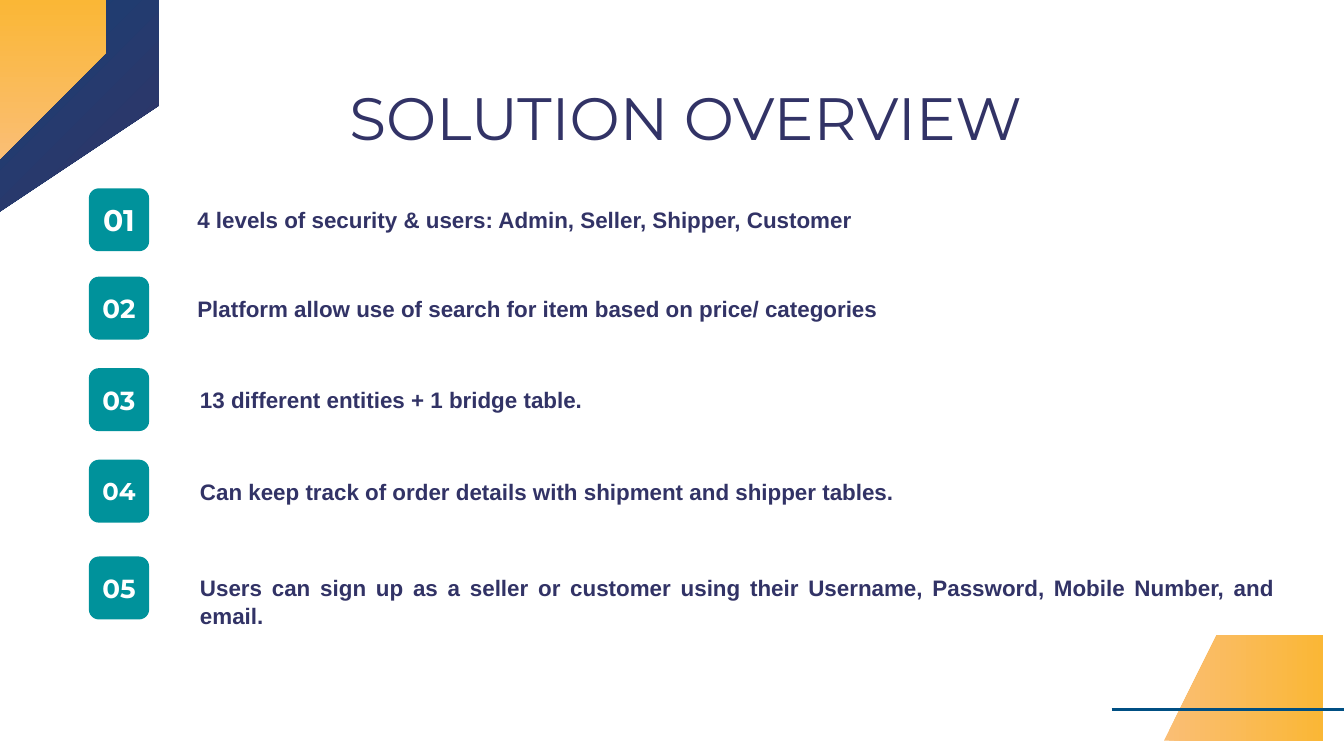
"""Build the solution overview slide with five numbered points."""
from lxml import etree
from pptx import Presentation
from pptx.dml.color import RGBColor
from pptx.enum.shapes import MSO_CONNECTOR, MSO_SHAPE
from pptx.enum.text import MSO_ANCHOR, PP_ALIGN
from pptx.oxml.ns import qn
from pptx.util import Cm, Pt

LEFT, CENTER, JUSTIFY = PP_ALIGN.LEFT, PP_ALIGN.CENTER, PP_ALIGN.JUSTIFY
TOP, MIDDLE = MSO_ANCHOR.TOP, MSO_ANCHOR.MIDDLE
ROUNDED, STRAIGHT = MSO_SHAPE.ROUNDED_RECTANGLE, MSO_CONNECTOR.STRAIGHT

COLORS = {"navy": "323366", "blue": "194175", "line": "004F83", "teal": "00929B",
          "amber": "FAB736", "peach": "FABE75", "white": "FFFFFF"}

TITLE = "SOLUTION OVERVIEW"
POINTS = [
    {"text": "4 levels of security & users: Admin, Seller, Shipper, Customer",
     "top": 3.56, "left": 3.48, "width": 15.39, "size": 16},
    {"text": "Platform allow use of search for item based on price/ categories",
     "top": 5.23, "left": 3.48, "width": 16.36, "size": 14},
    {"text": "13 different entities + 1 bridge table.",
     "top": 6.96, "left": 3.53, "width": 9.4, "size": 14},
    {"text": "Can keep track of order details with shipment and shipper tables.",
     "top": 8.69, "left": 3.53, "width": 14.76, "size": 13},
    {"text": "Users can sign up as a seller or customer using their Username, "
             "Password, Mobile Number, and email.",
     "top": 10.52, "left": 3.53, "width": 20.83, "size": 14,
     "align": JUSTIFY, "spacing": 1.07, "shift": 0.24},
]
SLIDE_WIDTH, SLIDE_HEIGHT = 25.4, 14.29
BADGE_LEFT, BADGE_WIDTH, BADGE_HEIGHT = 1.68, 1.14, 1.19
TEXT_HEIGHT = 1.47

PANELS = [
    {"before": [(SLIDE_WIDTH, SLIDE_HEIGHT), (SLIDE_WIDTH, 11.76)],
     "corner": [(23.22, 11.76), (23, 11.76), (22.91, 11.99)],
     "after": [(21.69, SLIDE_HEIGHT)], "colors": ("peach", "amber"), "angle": 0},
    {"before": [(0, 0), (3.33, 0)],
     "corner": [(3.33, 1.73), (3.33, 1.99), (3.1, 2.11)],
     "after": [(0, 3.76)], "colors": ("blue", "navy"), "angle": 315},
    {"before": [(0, 0), (2.36, 0)],
     "corner": [(2.36, 1.22), (2.36, 1.37), (2.21, 1.45)],
     "after": [(0, 2.62)], "colors": ("amber", "peach"), "angle": 270},
]


def color(name):
    return RGBColor.from_string(COLORS[name])


def round_corner(start, control, end, steps=8):
    weights = [step / steps for step in range(steps + 1)]
    return [tuple((1 - w) ** 2 * a + 2 * w * (1 - w) * b + w ** 2 * c
                  for a, b, c in zip(start, control, end)) for w in weights]


def add_panel(slide, panel):
    points = panel["before"] + round_corner(*panel["corner"]) + panel["after"]
    builder = slide.shapes.build_freeform(*points[0], scale=Cm(1))
    builder.add_line_segments(points[1:], close=True)
    shape = builder.convert_to_shape()
    shape.shadow.inherit = False
    shape.line.fill.background()
    shape.fill.gradient()
    shape.fill.gradient_angle = panel["angle"]
    for stop, name in zip(shape.fill.gradient_stops, panel["colors"]):
        stop.color.rgb = color(name)


def add_rule(slide, left, right, top):
    line = slide.shapes.add_connector(STRAIGHT, Cm(left), Cm(top), Cm(right), Cm(top))
    line.line.color.rgb = color("line")
    line.line.width = Pt(1.5)
    etree.SubElement(line._element.spPr, qn("a:effectLst"))


def write(shape, text, fill, align, anchor, font, inset=0.25, spacing=None, wrap=True):
    frame = shape.text_frame
    margins = {f"margin_{side}": Cm(inset) for side in ("left", "top", "right", "bottom")}
    settings = {"word_wrap": wrap, "vertical_anchor": anchor, **margins}
    for name, value in settings.items():
        setattr(frame, name, value)
    paragraph = frame.paragraphs[0]
    paragraph.text = text
    paragraph.alignment = align
    paragraph.line_spacing = spacing
    for name, value in font.items():
        setattr(paragraph.font, name, value)
    paragraph.font.color.rgb = color(fill)


def add_text(slide, left, top, width, height, *content, **options):
    box = slide.shapes.add_textbox(Cm(left), Cm(top), Cm(width), Cm(height))
    write(box, *content, **options)


def add_point(slide, number, point):
    badge = slide.shapes.add_shape(ROUNDED, Cm(BADGE_LEFT), Cm(point["top"]),
                                   Cm(BADGE_WIDTH), Cm(BADGE_HEIGHT))
    badge.shadow.inherit = False
    badge.fill.solid()
    badge.fill.fore_color.rgb = color("teal")
    badge.line.fill.background()
    write(badge, f"{number:02}", "white", CENTER, MIDDLE,
          {"name": "Montserrat", "size": Pt(point["size"]), "bold": True},
          inset=0, wrap=False)
    top = point["top"] + (BADGE_HEIGHT - TEXT_HEIGHT) / 2 + point.get("shift", 0)
    add_text(slide, point["left"], top, point["width"], TEXT_HEIGHT,
             point["text"], "navy", point.get("align", LEFT), MIDDLE,
             {"name": "Arial", "size": Pt(12), "bold": True},
             spacing=point.get("spacing"))


def main():
    presentation = Presentation()
    presentation.slide_width = Cm(SLIDE_WIDTH)
    presentation.slide_height = Cm(SLIDE_HEIGHT)
    slide = presentation.slides.add_slide(presentation.slide_layouts[6])
    for panel in PANELS:
        add_panel(slide, panel)
    add_rule(slide, 21.01, SLIDE_WIDTH, 13.41)
    add_text(slide, 2.24, 1.27, 21.44, 1.6, TITLE, "navy", CENTER, TOP,
             {"name": "Montserrat", "size": Pt(32)})
    for number, point in enumerate(POINTS, 1):
        add_point(slide, number, point)
    presentation.save("out.pptx")


if __name__ == "__main__":
    main()
